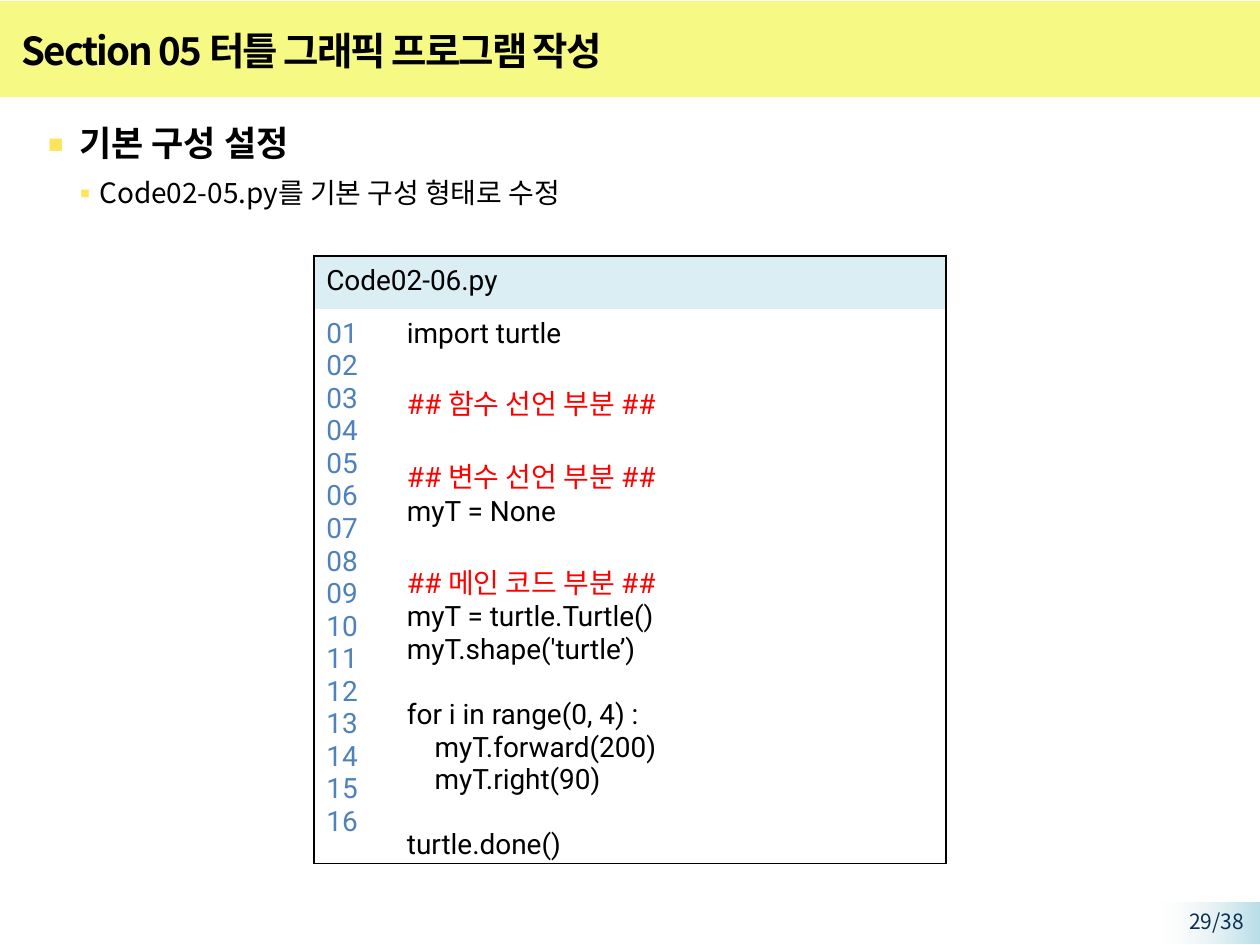
import pptx
import pptx.dml.color
import pptx.enum.shapes
import pptx.enum.text
import pptx.oxml
import pptx.oxml.ns
import pptx.util
from pptx.util import Inches

COLORS = {
    "banner": "F6F983", "corner": "B7DEE8", "fade": "F2F2F2",
    "page": "0F2E53", "text": "000000", "bullet": "FFE45B",
    "header": "DBEEF4", "number": "4F81BD", "comment": "FF0000",
}
SANS = "Noto Sans CJK KR"
CODE_FONT = "Roboto"
PLAIN_TABLE = "{2D5ABB26-0587-4C30-8999-92F81FD0307C}"
CODE = """import turtle

## 함수 선언 부분 ##

## 변수 선언 부분 ##
myT = None

## 메인 코드 부분 ##
myT = turtle.Turtle()
myT.shape('turtle’)

for i in range(0, 4) :
    myT.forward(200)
    myT.right(90)

turtle.done()""".split("\n")


def rgb(name):
    return pptx.dml.color.RGBColor.from_string(COLORS[name])


def xml(markup):
    return pptx.oxml.parse_xml(
        markup.replace(" ", f" {pptx.oxml.ns.nsdecls('a')} ", 1))


def style(para, size, color="text", face=SANS, bold=False, spacing=None):
    font = para.font
    font.size = pptx.util.Pt(size)
    font.name = face
    font.bold = bold
    font.color.rgb = rgb(color)
    font._rPr.append(xml(f'<a:ea typeface="{SANS}"/>'))
    if spacing is not None:
        font._rPr.set("spc", str(spacing))


def add_band(page, left, top, width, height):
    band = page.shapes.add_shape(
        pptx.enum.shapes.MSO_SHAPE.RECTANGLE,
        Inches(left), Inches(top), Inches(width), Inches(height))
    band.shadow.inherit = False
    band.line.fill.background()
    return band


def add_text(page, left, top, width, height):
    box = page.shapes.add_textbox(
        Inches(left), Inches(top), Inches(width), Inches(height))
    box.text_frame.word_wrap = True
    return box.text_frame


def add_bullet(para, text, size, margin, hang, bullet_size, bold):
    para.text = text
    para.line_spacing = 1.2
    para.space_before = pptx.util.Pt(size * 0.2)
    style(para, size, bold=bold)
    props = para._p.get_or_add_pPr()
    props.set("marL", str(Inches(margin)))
    props.set("indent", str(-Inches(hang)))
    # Bullet settings stand before the default run properties
    for markup in (
        f'<a:buClr ><a:srgbClr val="{COLORS["bullet"]}"/></a:buClr>',
        f'<a:buSzPct val="{bullet_size * 1000}"/>',
        '<a:buFont typeface="Noto Sans CJK KR"/>',
        '<a:buChar char="▪"/>',
    ):
        props.insert(len(props) - 1, xml(markup))


def set_borders(cell, sides):
    props = cell._tc.get_or_add_tcPr()
    for index, side in enumerate(sides):
        props.insert(index, xml(
            f'<a:ln{side} w="12700"><a:solidFill><a:srgbClr '
            f'val="{COLORS["text"]}"/></a:solidFill></a:ln{side}>'))


def fill_cell(cell, lines, color="text"):
    cell.margin_left = cell.margin_right = Inches(0.1)
    cell.margin_top = cell.margin_bottom = Inches(0.07)
    cell.text = "\n".join(lines)
    for para, line in zip(cell.text_frame.paragraphs, lines):
        shade = "comment" if line.startswith("##") else color
        style(para, 16, shade, CODE_FONT)


def add_code_table(page):
    frame = page.shapes.add_table(
        2, 2, Inches(2.49), Inches(2.03), Inches(5.02), Inches(4.8))
    table = frame.table
    table.first_row = table.horz_banding = False
    table._tbl.tblPr.find(pptx.oxml.ns.qn("a:tableStyleId")).text = PLAIN_TABLE
    for column, width in zip(table.columns, (0.64, 4.38)):
        column.width = Inches(width)
    for row, height in zip(table.rows, (0.42, 4.38)):
        row.height = Inches(height)

    header, header_end = table.cell(0, 0), table.cell(0, 1)
    numbers, code = table.cell(1, 0), table.cell(1, 1)
    header.merge(header_end)
    fill_cell(header, ["Code02-06.py"])
    fill_cell(numbers, [f"{n:02}" for n in range(1, len(CODE) + 1)], "number")
    fill_cell(code, CODE)
    for cell in (header, header_end):
        cell.fill.solid()
        cell.fill.fore_color.rgb = rgb("header")
    for cell in (numbers, code):
        cell.fill.background()
    for cell, sides in ((header, "LRT"), (header_end, "RT"),
                        (numbers, "LB"), (code, "RB")):
        set_borders(cell, sides)


def add_page_number(page):
    corner = add_band(page, 9.2, 7.16, 0.8, 0.33)
    corner.fill.gradient()
    corner.fill.gradient_angle = 180
    for stop, name in zip(corner.fill.gradient_stops, ("corner", "fade")):
        stop.color.rgb = rgb(name)
    # The far end fades out completely
    last = corner._element.spPr.findall(".//" + pptx.oxml.ns.qn("a:srgbClr"))[-1]
    last.append(xml('<a:alpha val="0"/>'))

    para = add_text(page, 9.05, 7.16, 0.92, 0.23).paragraphs[0]
    para.text = "29/38"
    para.alignment = pptx.enum.text.PP_ALIGN.RIGHT
    style(para, 12, "page")


def main():
    deck = pptx.Presentation()
    deck.slide_width, deck.slide_height = Inches(10), Inches(7.5)
    page = deck.slides.add_slide(deck.slide_layouts[6])

    # Title banner
    banner = add_band(page, 0, 0.01, 10, 0.76)
    banner.fill.solid()
    banner.fill.fore_color.rgb = rgb("banner")
    title = add_text(page, 0.07, 0.14, 8.51, 0.52)
    title.vertical_anchor = pptx.enum.text.MSO_ANCHOR.MIDDLE
    title.paragraphs[0].text = "Section 05 터틀 그래픽 프로그램 작성"
    style(title.paragraphs[0], 22, bold=True, spacing=-100)

    # Bulleted points
    body = add_text(page, 0.07, 0.85, 9.8, 6.2)
    add_bullet(body.paragraphs[0], "기본 구성 설정", 20, 0.39, 0.29, 130, True)
    point = body.add_paragraph()
    point.level = 1
    add_bullet(point, "Code02-05.py를 기본 구성 형태로 수정",
               16, 0.59, 0.19, 100, False)

    # Code listing and page number
    add_code_table(page)
    add_page_number(page)
    deck.save("out.pptx")


if __name__ == "__main__":
    main()
